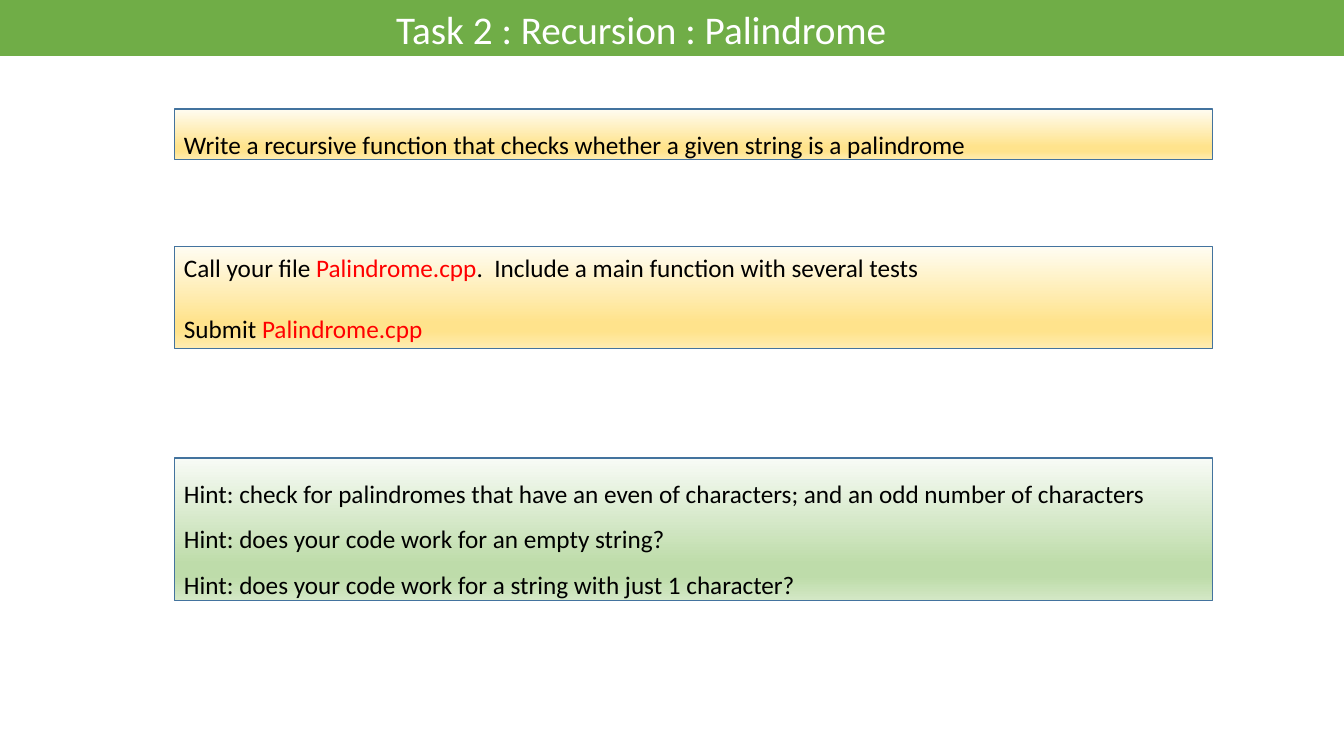
"""Build the palindrome recursion task slide."""
from copy import deepcopy
from dataclasses import dataclass

from pptx import Presentation
from pptx.dml.color import RGBColor
from pptx.enum.shapes import MSO_SHAPE as Preset
from pptx.enum.text import MSO_ANCHOR as Anchor, MSO_AUTO_SIZE as AutoSize, PP_ALIGN as Align
from pptx.oxml.ns import qn
from pptx.shapes.autoshape import Shape
from pptx.slide import Slide
from pptx.text.text import TextFrame
from pptx.util import Emu, Pt

PX_PER_INCH = 100.8
FONT = "Calibri"
WHITE = RGBColor(0xFF, 0xFF, 0xFF)
BLACK = RGBColor(0x00, 0x00, 0x00)
RED = RGBColor(0xFF, 0x00, 0x00)
GREEN = RGBColor(0x70, 0xAD, 0x47)
BORDER = RGBColor(0x43, 0x73, 0x9E)
GOLD_SHADES = (RGBColor(0xFF, 0xFC, 0xF2), RGBColor(0xFF, 0xE3, 0x8C),
               RGBColor(0xFF, 0xE3, 0x8C), RGBColor(0xFF, 0xEC, 0xB2))
GREEN_SHADES = (RGBColor(0xF8, 0xFB, 0xF6), RGBColor(0xBE, 0xDC, 0xAA),
                RGBColor(0xBE, 0xDC, 0xAA), RGBColor(0xD4, 0xE8, 0xC6))
STOP_POSITIONS = (0, 0.74, 0.83, 1)
BOX_LEFT, BOX_WIDTH = 174, 1039
FILE_NAME = "Palindrome.cpp"

Line = tuple[str, ...]


@dataclass(frozen=True)
class Panel:
    """A gradient box with its lines of text."""
    top: int
    height: int
    shades: tuple[RGBColor, ...]
    lines: tuple[Line, ...]
    spacing: float = 1.0
    gap: int = 0


PANELS = (
    Panel(109, 51, GOLD_SHADES,
          (("Write a recursive function that checks whether a given string is a palindrome",),),
          spacing=1.5),
    Panel(247, 102, GOLD_SHADES,
          (("Call your file ", FILE_NAME, ".  Include a main function with several tests"),
           ("Submit ", FILE_NAME)),
          gap=22),
    Panel(458, 143, GREEN_SHADES,
          (("Hint: check for palindromes that have an even of characters; "
            "and an odd number of characters",),
           ("Hint: does your code work for an empty string?",),
           ("Hint: does your code work for a string with just 1 character?",)),
          spacing=1.5),
)


def px(length: int) -> Emu:
    """Turn pixels into EMU."""
    return Emu(round(length * 914400 / PX_PER_INCH))


def write(frame: TextFrame, lines: tuple[Line, ...], *, size: int, color: RGBColor,
          spacing: float = 1.0, gap: int = 0) -> None:
    """Fill a frame with lines, showing the file name in red."""
    frame.word_wrap = True
    frame.auto_size = AutoSize.NONE
    frame.vertical_anchor = Anchor.TOP
    for index, line in enumerate(lines):
        para = frame.add_paragraph() if index else frame.paragraphs[0]
        para.alignment = Align.LEFT
        para.line_spacing = spacing
        para.space_before = Pt(gap if index else 0)
        for text in line:
            span = para.add_run()
            span.text = text
            span.font.name = FONT
            span.font.size = Pt(size)
            span.font.color.rgb = RED if text == FILE_NAME else color


def add_box(page: Slide, left: int, top: int, width: int, height: int) -> Shape:
    """Add a rectangle without a shadow."""
    box = page.shapes.add_shape(Preset.RECTANGLE, px(left), px(top), px(width), px(height))
    box.shadow.inherit = False
    return box


def shade(box: Shape, shades: tuple[RGBColor, ...]) -> None:
    """Fill a box with a gradient running from top to bottom."""
    box.fill.gradient()
    box.fill.gradient_angle = 270
    stop_list = next(box._element.iter(qn("a:gsLst")))
    for _ in range(len(shades) - len(stop_list)):
        stop_list.append(deepcopy(stop_list[0]))
    for stop, color, position in zip(box.fill.gradient_stops, shades, STOP_POSITIONS):
        stop.color.rgb = color
        stop.position = position


def add_header(page: Slide) -> None:
    """Draw the green bar behind the title and write the title."""
    bar = add_box(page, 0, 0, 1344, 56)
    bar.fill.solid()
    bar.fill.fore_color.rgb = GREEN
    bar.line.fill.background()
    title = page.shapes.title
    title._element.addprevious(bar._element)
    title.left, title.top, title.width, title.height = px(386), px(0), px(615), px(57)
    write(title.text_frame, (("Task 2 : Recursion : Palindrome",),), size=28, color=WHITE)


def add_panel(page: Slide, panel: Panel) -> None:
    """Draw one panel."""
    box = add_box(page, BOX_LEFT, panel.top, BOX_WIDTH, panel.height)
    shade(box, panel.shades)
    box.line.color.rgb = BORDER
    box.line.width = Pt(0.75)
    write(box.text_frame, panel.lines, size=18, color=BLACK,
          spacing=panel.spacing, gap=panel.gap)


def main() -> None:
    """Build and save the deck."""
    deck = Presentation()
    deck.slide_width, deck.slide_height = px(1344), px(756)
    page = deck.slides.add_slide(deck.slide_layouts.get_by_name("Title Only"))
    add_header(page)
    for panel in PANELS:
        add_panel(page, panel)
    deck.save("out.pptx")


if __name__ == "__main__":
    main()
